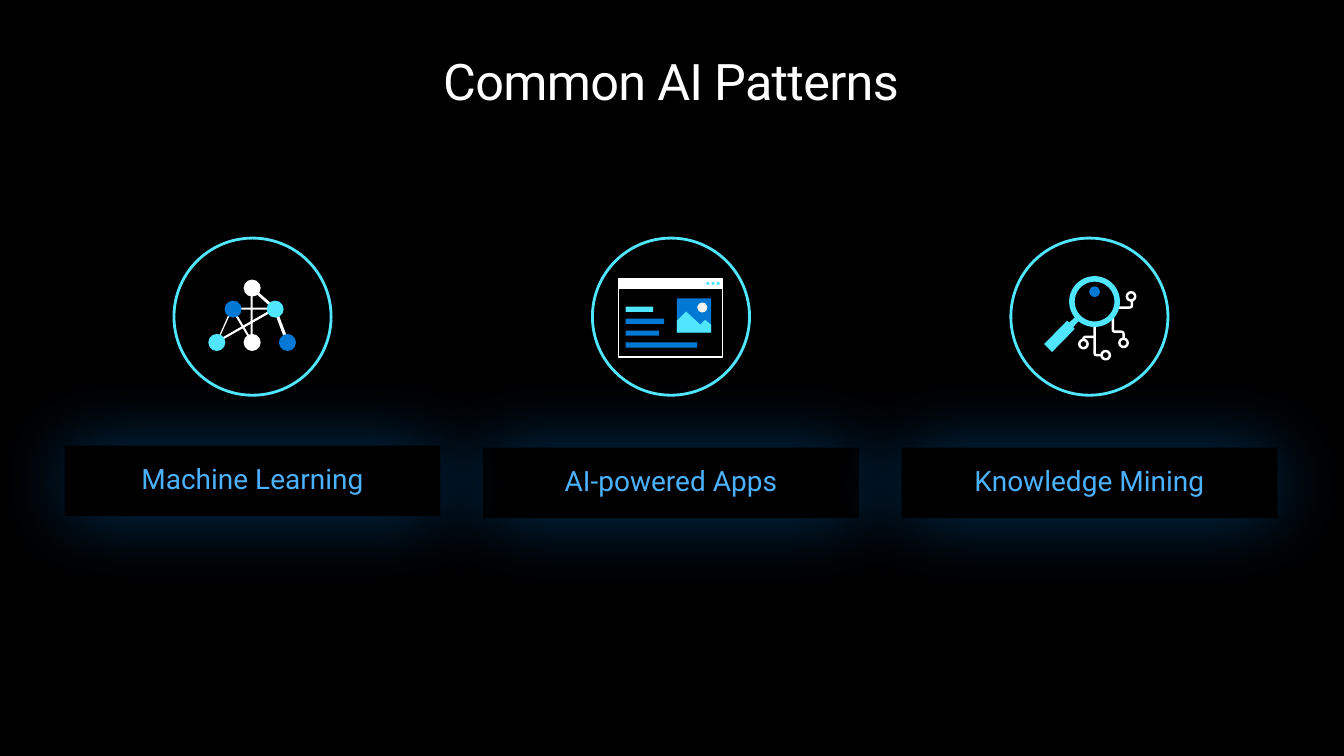
import math
from dataclasses import dataclass

import lxml.etree
import pptx
import pptx.dml.color
import pptx.enum.shapes
import pptx.enum.text
import pptx.oxml.ns
import pptx.util
from pptx.util import Cm


@dataclass(frozen=True)
class Theme:
    """Colours, font and type sizes of the slide."""
    black: str = "000000"
    white: str = "FFFFFF"
    sun: str = "F4F4F4"
    blue: str = "0078D4"
    cyan: str = "50E6FF"
    label: str = "4CB1FF"
    font: str = "Roboto"
    title_size: int = 36
    label_size: int = 20


THEME = Theme()
OVAL = pptx.enum.shapes.MSO_SHAPE.OVAL
RECTANGLE = pptx.enum.shapes.MSO_SHAPE.RECTANGLE


def rgb(colour):
    """Turn a hex string into a colour."""
    return pptx.dml.color.RGBColor.from_string(colour)


def paint(shape, fill=None, line=None, weight=1):
    """Set the fill and outline of a shape, leaving out what is None."""
    shape.shadow.inherit = False
    if fill:
        shape.fill.solid()
        shape.fill.fore_color.rgb = rgb(fill)
    else:
        shape.fill.background()
    if line:
        shape.line.color.rgb = rgb(line)
        shape.line.width = pptx.util.Pt(weight)
    else:
        shape.line.fill.background()
    return shape


def draw(shapes, kind, box, **style):
    """Draw a preset shape in a box of left, top, width and height in cm."""
    return paint(shapes.add_shape(kind, *map(Cm, box)), **style)


def disc(shapes, centre, diameter, **style):
    """Draw a circle around its centre."""
    x, y = centre
    return draw(shapes, OVAL, (x - diameter / 2, y - diameter / 2, diameter, diameter), **style)


def outline(shapes, origin, contours, close=True, **style):
    """Draw one freeform from contours given relative to the origin."""
    left, top = origin
    builder = None
    for contour in contours:
        points = [(Cm(left + x), Cm(top + y)) for x, y in contour]
        if builder is None:
            builder = shapes.build_freeform(*points[0], scale=1.0)
        else:
            builder.move_to(*points[0])
        builder.add_line_segments(points[1:], close=close)
    return paint(builder.convert_to_shape(), **style)


def write(shape, text, size, colour, insets=(0, 0), spacing=None):
    """Write one centred line of text into a shape."""
    frame = shape.text_frame
    frame.word_wrap = True
    frame.vertical_anchor = pptx.enum.text.MSO_ANCHOR.TOP
    frame.margin_left = frame.margin_right = Cm(insets[0])
    frame.margin_top = frame.margin_bottom = Cm(insets[1])
    paragraph = frame.paragraphs[0]
    paragraph.alignment = pptx.enum.text.PP_ALIGN.CENTER
    run = paragraph.add_run()
    run.text = text
    run.font.name = THEME.font
    run.font.size = pptx.util.Pt(size)
    run.font.color.rgb = rgb(colour)
    if spacing is not None:
        run._r.get_or_add_rPr().set("spc", str(round(spacing * 100)))


def glow(shape, colour, blur, opacity):
    """Put a soft shadow all round a shape."""
    qn = pptx.oxml.ns.qn
    effects = shape._element.spPr.find(qn("a:effectLst"))
    shadow = lxml.etree.SubElement(effects, qn("a:outerShdw"), blurRad=str(pptx.util.Pt(blur)),
                                   dist="0", algn="ctr", rotWithShape="0")
    tint = lxml.etree.SubElement(shadow, qn("a:srgbClr"), val=colour)
    lxml.etree.SubElement(tint, qn("a:alpha"), val=str(opacity * 1000))


def arc(centre, radius, start, end, steps=60):
    """List points on an arc, with angles in degrees clockwise from the right."""
    angles = [math.radians(start + (end - start) * i / steps) for i in range(steps + 1)]
    return [(centre[0] + radius * math.cos(a), centre[1] + radius * math.sin(a)) for a in angles]


def round_corners(points, radius=0.06, steps=6):
    """Replace the inner corners of a path by short curves."""
    rounded = [points[0]]
    for before, corner, after in zip(points, points[1:], points[2:]):
        enter, leave = [tuple(c + (e - c) * radius / math.dist(corner, end)
                              for c, e in zip(corner, end)) for end in (before, after)]
        for t in (i / steps for i in range(steps + 1)):
            rounded.append(tuple((1 - t) ** 2 * a + 2 * t * (1 - t) * c + t ** 2 * b
                                 for a, c, b in zip(enter, corner, leave)))
    return rounded + [points[-1]]


def network_icon(shapes, left, top):
    """Draw linked nodes."""
    links = [
        [(1.98, 2.69), (1.45, 1.8), (1.5, 1.78), (1.93, 2.51),
         (1.93, 1.19), (2.57, 1.75), (2.51, 1.8), (1.98, 1.32)],
        [(1.09, 2.64), (1.07, 2.59), (2.54, 1.75), (2.57, 1.8)],
        [(1.09, 2.64), (1.07, 2.62), (1.45, 1.75), (2.57, 1.75),
         (2.9, 2.62), (2.82, 2.64), (2.51, 1.8), (1.47, 1.8)],
    ]
    nodes = [(1.97, 1.26, THEME.white), (1.49, 1.79, THEME.blue), (2.55, 1.79, THEME.cyan),
             (1.97, 2.63, THEME.white), (1.08, 2.63, THEME.cyan), (2.86, 2.63, THEME.blue)]
    for link in links:
        outline(shapes, (left, top), [link], fill=THEME.white)
    for x, y, colour in nodes:
        disc(shapes, (left + x, top + y), 0.43, fill=colour)


def app_icon(shapes, left, top):
    """Draw an application window with lines of text and a landscape."""
    draw(shapes, RECTANGLE, (left + 0.66, top + 1.02, 2.62, 0.25),
         fill=THEME.white, line=THEME.white)
    draw(shapes, RECTANGLE, (left + 0.66, top + 1.27, 2.62, 1.73), line=THEME.white)
    for i in range(3):
        disc(shapes, (left + 2.91 + 0.13 * i, top + 1.14), 0.08, fill=THEME.cyan)
    draw(shapes, RECTANGLE, (left + 2.13, top + 1.52, 0.86, 0.86), fill=THEME.blue)
    mountains = [(2.84, 2.06), (2.72, 2.18), (2.36, 1.85), (2.13, 2.08),
                 (2.13, 2.38), (2.99, 2.38), (2.99, 2.18)]
    outline(shapes, (left, top), [mountains], fill=THEME.cyan)
    disc(shapes, (left + 2.77, top + 1.75), 0.25, fill=THEME.sun)
    for i, width in enumerate((0.69, 0.97, 0.84, 1.8)):
        draw(shapes, RECTANGLE, (left + 0.84, top + 1.73 + 0.3 * i, width, 0.13),
             fill=THEME.blue if i else THEME.cyan)


def mining_icon(shapes, left, top):
    """Draw a magnifier over circuit traces."""
    pen = dict(line=THEME.white, weight=1.75)
    traces = [
        [(2.11, 2.49), (1.83, 2.49), (1.83, 2.59)],
        [(2.57, 2.01), (2.57, 2.36), (2.84, 2.36), (2.84, 2.54)],
        [(2.67, 1.75), (3.05, 1.75), (3.05, 1.57)],
        [(2.11, 2.21), (2.11, 2.95), (2.29, 2.95)],
    ]
    for trace in traces:
        outline(shapes, (left, top), [round_corners(trace)], close=False, **pen)
    for x, y in [(1.83, 2.67), (2.84, 2.64), (3.03, 1.47), (2.39, 2.95)]:
        disc(shapes, (left + x, top + y), 0.21, **pen)
    lens = (2.11, 1.6)
    handle = [(1.57, 2.24), (1.61, 2.29), (1.04, 2.87), (0.84, 2.67),
              (1.42, 2.08), (1.47, 2.13)]
    outline(shapes, (left, top), [arc(lens, 0.64, 141, 489) + handle, arc(lens, 0.5, 360, 0)],
            fill=THEME.cyan)
    disc(shapes, (left + 2.11, top + 1.35), 0.27, fill=THEME.blue)


def label_card(slide, box, text):
    """Place a glowing label."""
    card = draw(slide.shapes, RECTANGLE, box, fill=THEME.black)
    glow(card, THEME.blue, blur=58, opacity=41)
    write(card, text, THEME.label_size, THEME.label, insets=(0.51, 0.41))


def ringed_icon(slide, left, top, size, icon):
    """Place a ring with its icon grouped inside."""
    draw(slide.shapes, OVAL, (left, top, size, size), line=THEME.cyan, weight=2)
    icon(slide.shapes.add_group_shape().shapes, left, top)


def patterns_slide(slide, left, width):
    """Place the title and a row of three patterns between the side margins."""
    card_width, ring = 9.47, 3.96
    pitch = (width - card_width) / 2
    patterns = [
        (1, 11.28, "AI-powered Apps", app_icon),
        (2, 11.28, "Knowledge Mining", mining_icon),
        (0, 11.23, "Machine Learning", network_icon),
    ]
    for column, top, text, _ in patterns:
        label_card(slide, (left + column * pitch, top, card_width, 1.78), text)
    title = slide.shapes.add_textbox(Cm(left), Cm(1.27), Cm(width), Cm(1.55))
    write(title, "Common AI Patterns", THEME.title_size, THEME.white, spacing=-0.5)
    for column, _, _, icon in patterns:
        ringed_icon(slide, left + column * pitch + (card_width - ring) / 2, 6, ring, icon)


def main():
    """Build and save the presentation."""
    deck = pptx.Presentation()
    deck.slide_width, deck.slide_height = Cm(33.87), Cm(19.05)
    slide = deck.slides.add_slide(deck.slide_layouts[6])
    slide.background.fill.solid()
    slide.background.fill.fore_color.rgb = rgb(THEME.black)
    patterns_slide(slide, left=1.63, width=30.56)
    deck.save("out.pptx")


if __name__ == "__main__":
    main()
